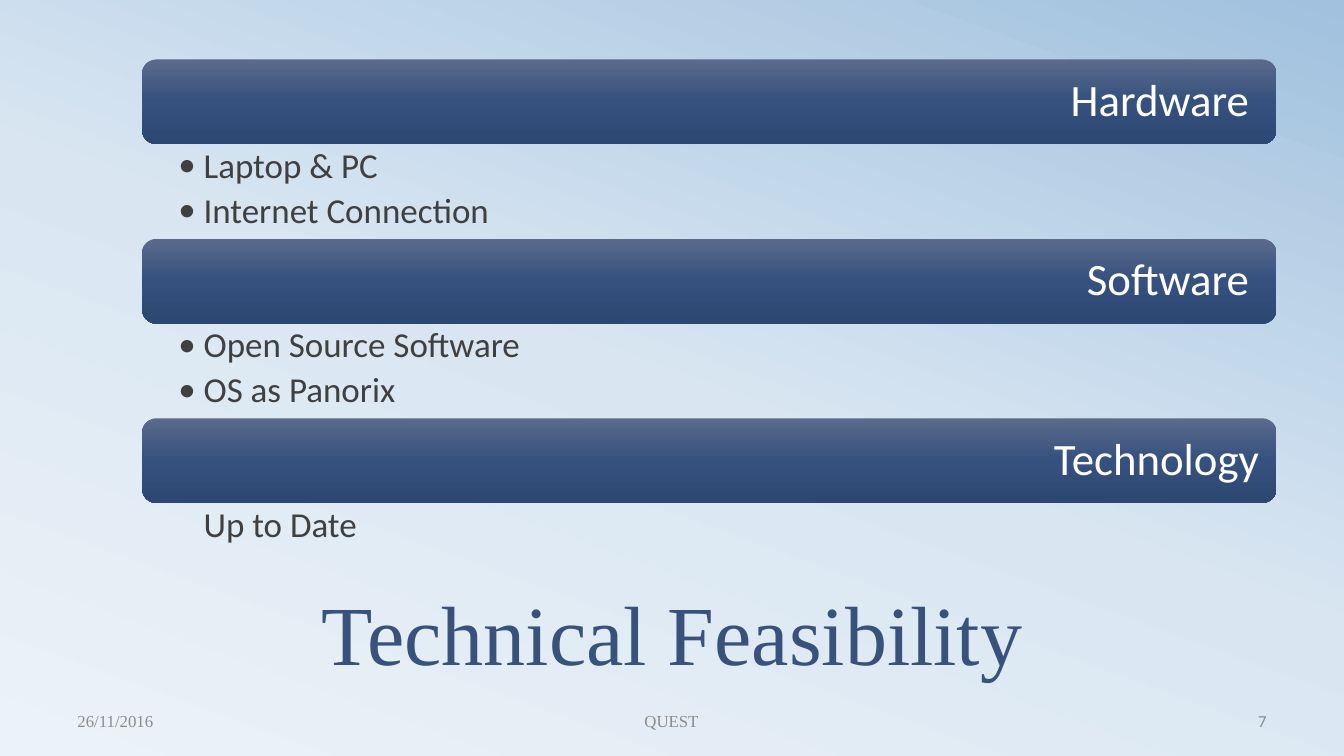
from copy import deepcopy

from lxml import etree
from pptx import Presentation
from pptx.dml.color import RGBColor
from pptx.enum import shapes, text
from pptx.oxml.ns import qn
from pptx.util import Inches, Pt

TITLE = "Technical Feasibility"
SECTIONS = [
    ("Hardware ", ["Laptop & PC", "Internet Connection"], True),
    ("Software ", ["Open Source Software", "OS as Panorix"], True),
    ("Technology", ["Up to Date"], False),
]
LEFT, CENTER, RIGHT = text.PP_ALIGN.LEFT, text.PP_ALIGN.CENTER, text.PP_ALIGN.RIGHT
TOP, MIDDLE, BOTTOM = (text.MSO_ANCHOR.TOP, text.MSO_ANCHOR.MIDDLE,
                       text.MSO_ANCHOR.BOTTOM)
SERIF, SANS = "Times New Roman", "Calibri"
FOOTER = [
    ("26/11/2016", 0.67, 3.11, LEFT, SERIF),
    ("QUEST", 4.55, 4.22, CENTER, SERIF),
    ("7", 9.55, 3.11, RIGHT, SANS),
]
BACKGROUND = [(0, "ECF3F8"), (0.49, "D9E6F2"), (1, "A1C1DE")]
BAR_COLORS = [(0, "5A6A8B"), (0.5, "36517E"), (1, "2D4773")]
BAR_LEFT, BAR_TOP, BAR_WIDTH, BAR_HEIGHT = 1.41, 0.59, 11.25, 0.84
ITEMS_HEIGHT, INDENT = 0.94, 0.25
LABEL_INSET = 0.04


def paint(color, value):
    color.rgb = RGBColor.from_string(value)


def blend(fill, element, stops, angle):
    fill.gradient()
    fill.gradient_angle = angle
    stop_list = next(element.iter(qn("a:gsLst")))
    stop_list.append(deepcopy(stop_list[-1]))
    for stop, (position, value) in zip(fill.gradient_stops, stops):
        stop.position = position
        paint(stop.color, value)


def write(slide, box, lines, size, font, color, align=LEFT, anchor=MIDDLE,
          insets=(0.1, 0.05, 0.1, 0.05), spacing=1, after=0):
    frame = slide.shapes.add_textbox(*map(Inches, box)).text_frame
    frame.word_wrap = True
    frame.vertical_anchor = anchor
    (frame.margin_left, frame.margin_top,
     frame.margin_right, frame.margin_bottom) = map(Inches, insets)
    frame.text = "\n".join(lines)
    for paragraph in frame.paragraphs:
        paragraph.alignment = align
        paragraph.line_spacing = spacing
        paragraph.space_after = Pt(after)
        for run in paragraph.runs:
            run.font.size = Pt(size)
            run.font.name = font
            paint(run.font.color, color)
    return frame


def indent(paragraph, bulleted):
    properties = paragraph._p.get_or_add_pPr()
    properties.set("marL", str(Inches(INDENT)))
    properties.set("indent", str(-Inches(INDENT) if bulleted else 0))
    if bulleted:
        etree.SubElement(properties, qn("a:buFont")).set("typeface", SANS)
        etree.SubElement(properties, qn("a:buChar")).set("char", "•")


def add_section(slide, top, heading, items, bulleted):
    bar = slide.shapes.add_shape(
        shapes.MSO_SHAPE.ROUNDED_RECTANGLE,
        *map(Inches, (BAR_LEFT, top, BAR_WIDTH, BAR_HEIGHT)))
    bar.shadow.inherit = False
    bar.line.fill.background()
    blend(bar.fill, bar._element, BAR_COLORS, 270)
    label = (BAR_LEFT + LABEL_INSET, top + LABEL_INSET,
             BAR_WIDTH - 2 * LABEL_INSET, BAR_HEIGHT - 2 * LABEL_INSET)
    write(slide, label, [heading], 32, SANS, "FFFFFF", RIGHT,
          insets=(0.13,) * 4, spacing=0.9)
    details = write(slide, (BAR_LEFT, top + BAR_HEIGHT, BAR_WIDTH, ITEMS_HEIGHT),
                    items, 25, SANS, "404040", anchor=TOP,
                    insets=(0.36, 0.04, 0.25, 0.04), spacing=0.9, after=5)
    for paragraph in details.paragraphs:
        indent(paragraph, bulleted)


def main():
    deck = Presentation()
    deck.slide_width, deck.slide_height = Inches(13.33), Inches(7.5)
    slide = deck.slides.add_slide(deck.slide_layouts[6])
    blend(slide.background.fill, slide._element, BACKGROUND, 70)
    write(slide, (0.67, 5.64, 12, 1.17), [TITLE], 60, SERIF, "39527B",
          CENTER, BOTTOM, spacing=0.8)
    for words, left, width, align, font in FOOTER:
        write(slide, (left, 6.95, width, 0.4), [words], 12, font, "8C8C8C", align)
    for row, section in enumerate(SECTIONS):
        add_section(slide, BAR_TOP + row * (BAR_HEIGHT + ITEMS_HEIGHT), *section)
    deck.save("out.pptx")


if __name__ == "__main__":
    main()
